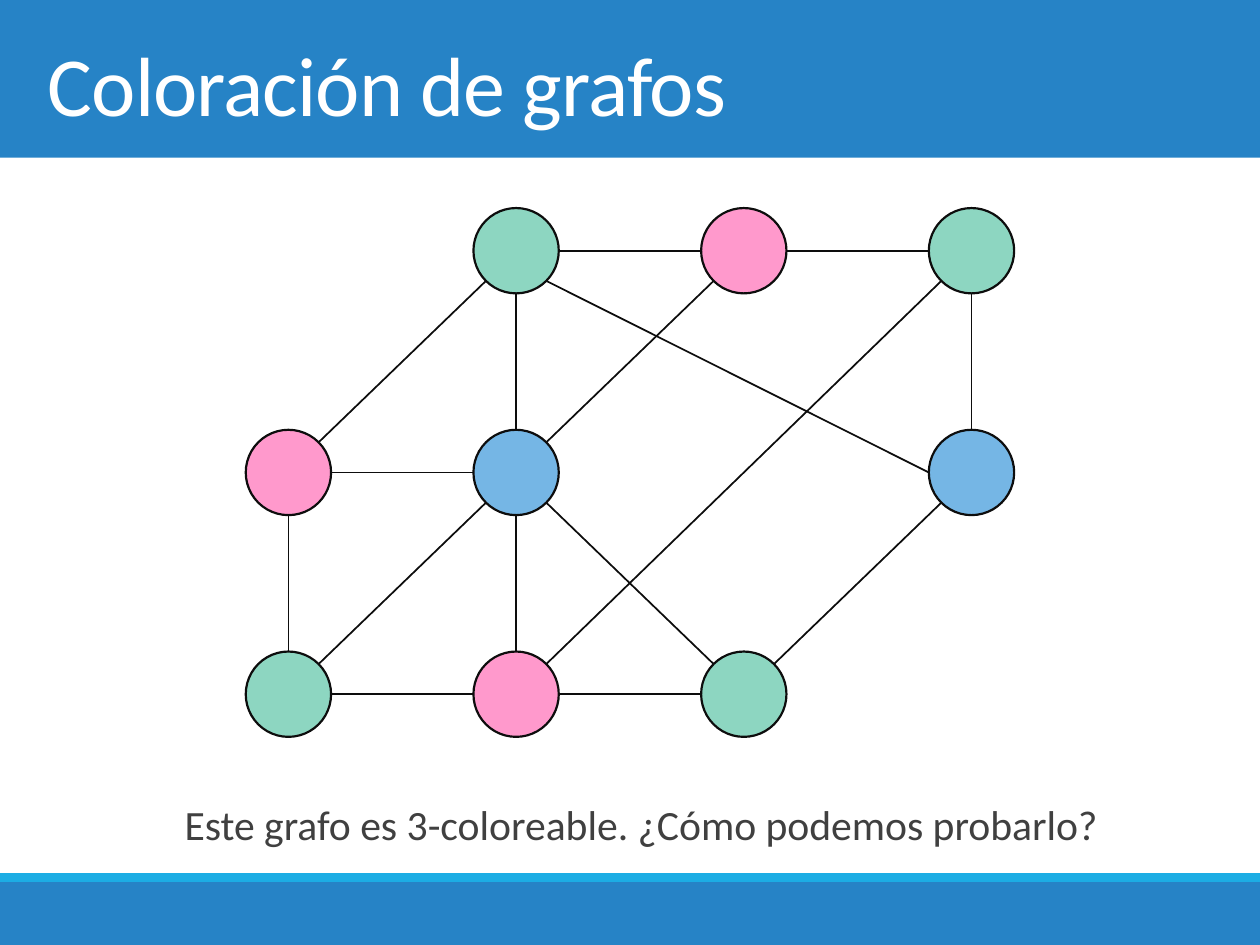
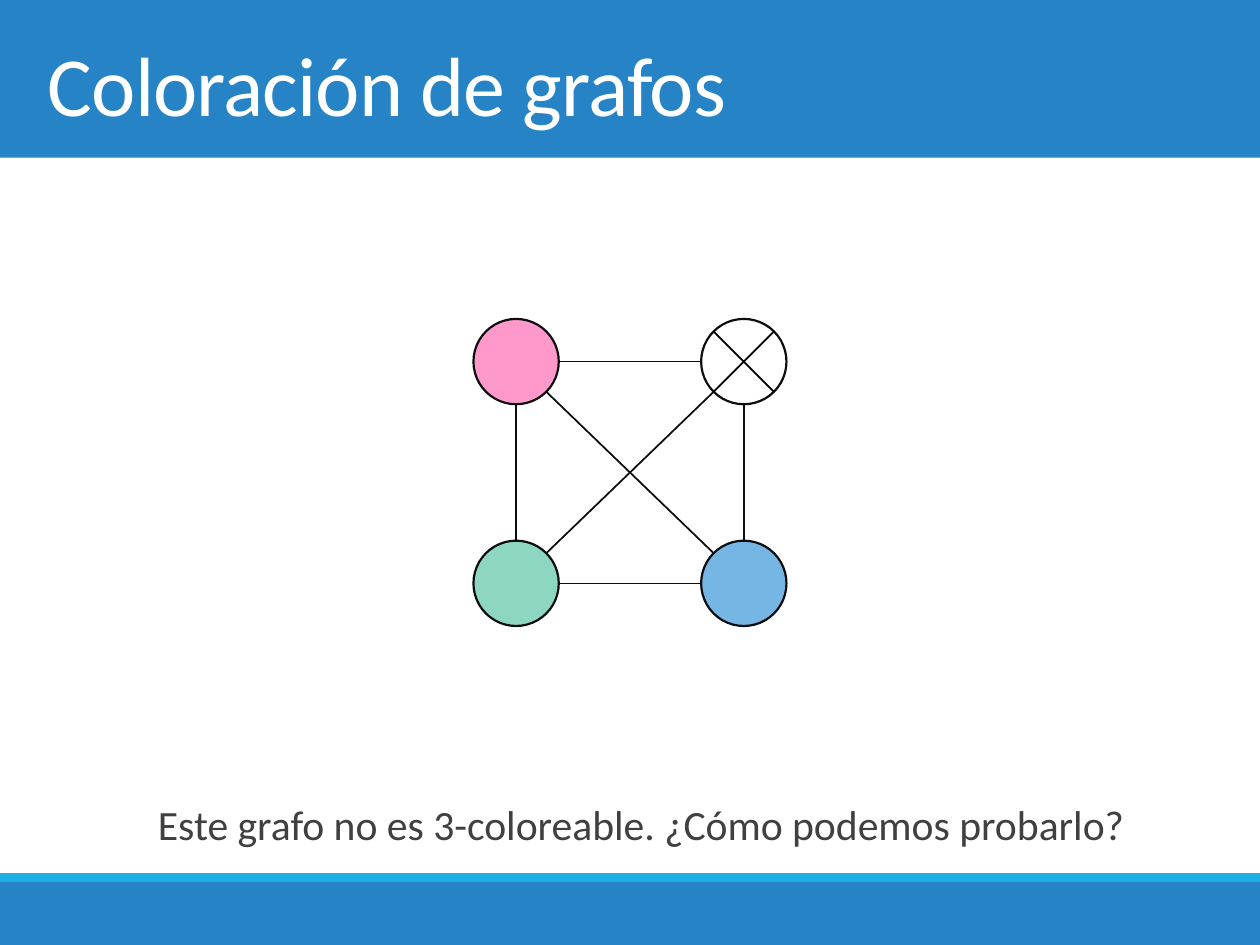
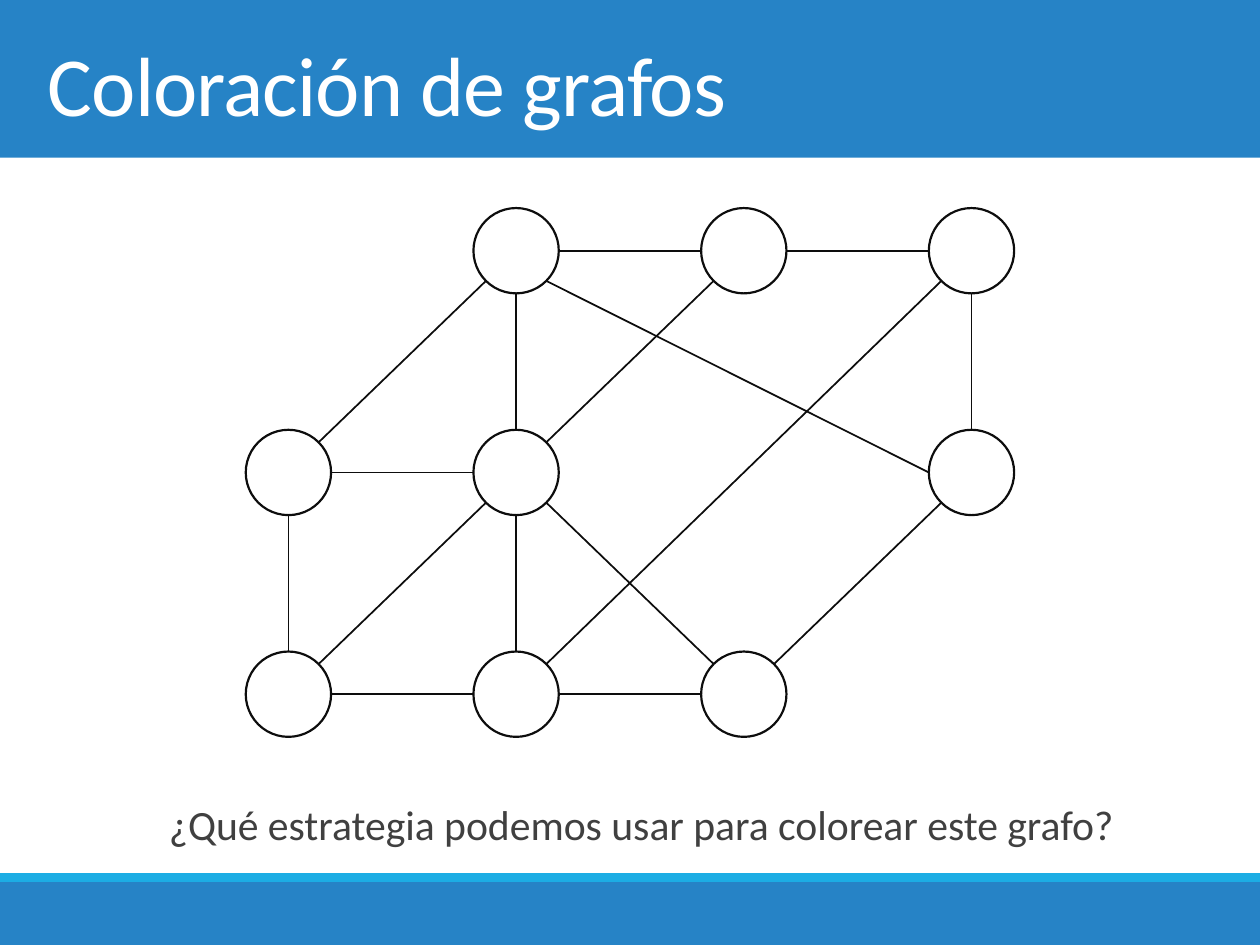
from dataclasses import dataclass, replace
from math import sqrt

from lxml.etree import SubElement
from pptx import Presentation
from pptx.dml.color import RGBColor
from pptx.enum.shapes import MSO_CONNECTOR as Connector, MSO_SHAPE as Preset
from pptx.enum.text import MSO_ANCHOR as Anchor, MSO_AUTO_SIZE as AutoSize, PP_ALIGN as Align
from pptx.oxml.ns import qn
from pptx.slide import Slide, SlideLayout
from pptx.text.text import TextFrame
from pptx.util import Cm, Pt

FONT = "Calibri"
BLUE, CYAN, WHITE, GREY = "2683C6", "1CADE4", "FFFFFF", "404040"
OUTLINE, BLACK = "0D0D0D", "000000"
GREEN, PINK, SKY = "8DD6C1", "FF99CC", "75B6E5"

WIDTH, HEIGHT = 25.4, 19.05
TITLE_HEIGHT = 3.18
TEXT_LEFT, TEXT_WIDTH = 0.71, 24.0
COLUMN_STEP, ROW_STEP, RADIUS = 4.59, 4.47, 0.86

Point = tuple[float, float]
Side = tuple[int, int]


@dataclass(frozen=True)
class Band:
    """A full-width stripe of the shared background."""
    top: float
    height: float
    fill: str


@dataclass(frozen=True)
class Node:
    """A graph vertex placed on the column and row grid."""
    column: float
    row: float
    fill: str = WHITE

    def site(self, side: Side) -> Point:
        """Return the point of the circle that faces the given side."""
        reach = RADIUS / sqrt(abs(side[0]) + abs(side[1]))
        x = WIDTH / 2 + (self.column - 1.5) * COLUMN_STEP
        y = HEIGHT / 2 + (self.row - 1) * ROW_STEP
        return x + side[0] * reach, y + side[1] * reach


@dataclass(frozen=True)
class Edge:
    """A link between two named nodes, with an optional arrival side."""
    start: str
    end: str
    arrival: Side | None = None


@dataclass(frozen=True)
class Graph:
    """Named nodes, their edges and the nodes that are crossed out."""
    nodes: dict[str, Node]
    edges: list[Edge]
    crossed: tuple[str, ...] = ()


BANDS = [
    Band(0, TITLE_HEIGHT, BLUE),
    Band(17.78, 1.27, BLUE),
    Band(17.6, 0.18, CYAN),
]

COLORED_GRAPH = Graph(
    nodes={
        "A": Node(1, 0, GREEN), "B": Node(2, 0, PINK), "C": Node(3, 0, GREEN),
        "D": Node(0, 1, PINK), "E": Node(1, 1, SKY), "F": Node(3, 1, SKY),
        "G": Node(0, 2, GREEN), "H": Node(1, 2, PINK), "I": Node(2, 2, GREEN),
    },
    edges=[Edge(start, end) for start, end in
           "DE DG GH HE HI AB AE BC CF DA EB EI HC IF GE".split()]
    + [Edge("A", "F", arrival=(-1, 0))],
)
COMPLETE_GRAPH = Graph(
    nodes={
        "A": Node(1, 0.5, PINK), "B": Node(2, 0.5),
        "C": Node(1, 1.5, GREEN), "D": Node(2, 1.5, SKY),
    },
    edges=[Edge(start, end) for start, end in "AD AB BD DC CA CB".split()],
    crossed=("B",),
)
BLANK_GRAPH = replace(
    COLORED_GRAPH,
    nodes={name: replace(node, fill=WHITE) for name, node in COLORED_GRAPH.nodes.items()},
)

SLIDES = [
    ("Este grafo es 3-coloreable. ¿Cómo podemos probarlo?", COLORED_GRAPH),
    ("Este grafo no es 3-coloreable. ¿Cómo podemos probarlo?", COMPLETE_GRAPH),
    ("¿Qué estrategia podemos usar para colorear este grafo?", BLANK_GRAPH),
]


def rgb(value: str) -> RGBColor:
    """Turn a hex string into a colour."""
    return RGBColor.from_string(value)


def write_text(frame: TextFrame, text: str, *, size: float, color: str,
               align: Align = Align.LEFT, anchor: Anchor = Anchor.TOP,
               tracking: int = 0, line_spacing: float = 1.0,
               before: float = 0, after: float = 0, bullet: str = "") -> None:
    """Write one formatted paragraph into a text frame."""
    frame.word_wrap = True
    frame.auto_size = AutoSize.NONE
    frame.vertical_anchor = anchor
    paragraph = frame.paragraphs[0]
    paragraph.alignment = align
    paragraph.line_spacing = line_spacing
    paragraph.space_before, paragraph.space_after = Pt(before), Pt(after)
    run = paragraph.add_run()
    run.text = text
    run.font.name, run.font.size = FONT, Pt(size)
    run.font.color.rgb = rgb(color)
    if tracking:
        run._r.get_or_add_rPr().set("spc", str(tracking))
    if bullet:
        properties = paragraph._p.get_or_add_pPr()
        properties.set("marL", str(Cm(0.25)))
        properties.set("indent", str(-Cm(0.25)))
        bullet_color = SubElement(properties, qn("a:buClr"))
        SubElement(bullet_color, qn("a:srgbClr")).set("val", CYAN)
        SubElement(properties, qn("a:buChar")).set("char", bullet)


def add_filled(slide: Slide, preset: Preset, left: float, top: float,
               width: float, height: float, fill: str, line: str | None = None):
    """Add a flat preset shape with an optional outline."""
    shape = slide.shapes.add_shape(preset, Cm(left), Cm(top), Cm(width), Cm(height))
    shape.shadow.inherit = False
    shape.fill.solid()
    shape.fill.fore_color.rgb = rgb(fill)
    if line:
        shape.line.color.rgb = rgb(line)
        shape.line.width = Pt(1.25)
    else:
        shape.line.fill.background()
    return shape


def add_line(slide: Slide, start: Point, end: Point, color: str = OUTLINE) -> None:
    """Add a thin straight connector between two points."""
    connector = slide.shapes.add_connector(
        Connector.STRAIGHT, *(Cm(value) for value in start + end))
    connector.line.color.rgb = rgb(color)
    connector.line.width = Pt(1)
    SubElement(connector.element.spPr, qn("a:effectLst"))


def move_bands_to_layout(slide: Slide, layout: SlideLayout) -> None:
    """Draw the bands and place them behind everything in the layout."""
    for placeholder in list(layout.placeholders)[1:]:
        placeholder.element.getparent().remove(placeholder.element)
    for index, band in enumerate(BANDS):
        shape = add_filled(slide, Preset.RECTANGLE, 0, band.top, WIDTH, band.height, band.fill)
        layout.shapes.element.insert(2 + index, shape.element)


def direction(start: float, end: float) -> int:
    """Return the sign of the step between two grid positions."""
    return (end > start) - (end < start)


def draw_graph(slide: Slide, graph: Graph) -> None:
    """Draw the nodes, the edges and the crosses of a graph."""
    for node in graph.nodes.values():
        left, _ = node.site((-1, 0))
        _, top = node.site((0, -1))
        add_filled(slide, Preset.OVAL, left, top, 2 * RADIUS, 2 * RADIUS, node.fill, OUTLINE)
    for edge in graph.edges:
        start, end = graph.nodes[edge.start], graph.nodes[edge.end]
        side = direction(start.column, end.column), direction(start.row, end.row)
        arrival = edge.arrival or (-side[0], -side[1])
        add_line(slide, start.site(side), end.site(arrival))
    for name in graph.crossed:
        node = graph.nodes[name]
        for slope in (1, -1):
            add_line(slide, node.site((-1, -slope)), node.site((1, slope)), BLACK)


def add_title(slide: Slide, text: str) -> None:
    """Place and format the title over the top band."""
    title = slide.shapes.title
    title.left, title.top = Cm(TEXT_LEFT), Cm(0)
    title.width, title.height = Cm(TEXT_WIDTH), Cm(TITLE_HEIGHT)
    title.text_frame.margin_top = Cm(0.3)
    write_text(title.text_frame, text, size=48, color=WHITE,
               anchor=Anchor.MIDDLE, tracking=-50)


def add_caption(slide: Slide, text: str) -> None:
    """Add the centred question under the graph."""
    box = slide.shapes.add_textbox(Cm(TEXT_LEFT), Cm(15.67), Cm(TEXT_WIDTH), Cm(1.52))
    write_text(box.text_frame, text, size=23.8, color=GREY, align=Align.CENTER,
               line_spacing=1.3, before=12, after=2, bullet=" ")


def main() -> None:
    """Build and save the presentation."""
    presentation = Presentation()
    presentation.slide_width, presentation.slide_height = Cm(WIDTH), Cm(HEIGHT)
    layout = presentation.slide_layouts[5]
    for number, (caption, graph) in enumerate(SLIDES):
        slide = presentation.slides.add_slide(layout)
        if number == 0:
            move_bands_to_layout(slide, layout)
        add_title(slide, "Coloración de grafos")
        add_caption(slide, caption)
        draw_graph(slide, graph)
    presentation.save("out.pptx")


main()
